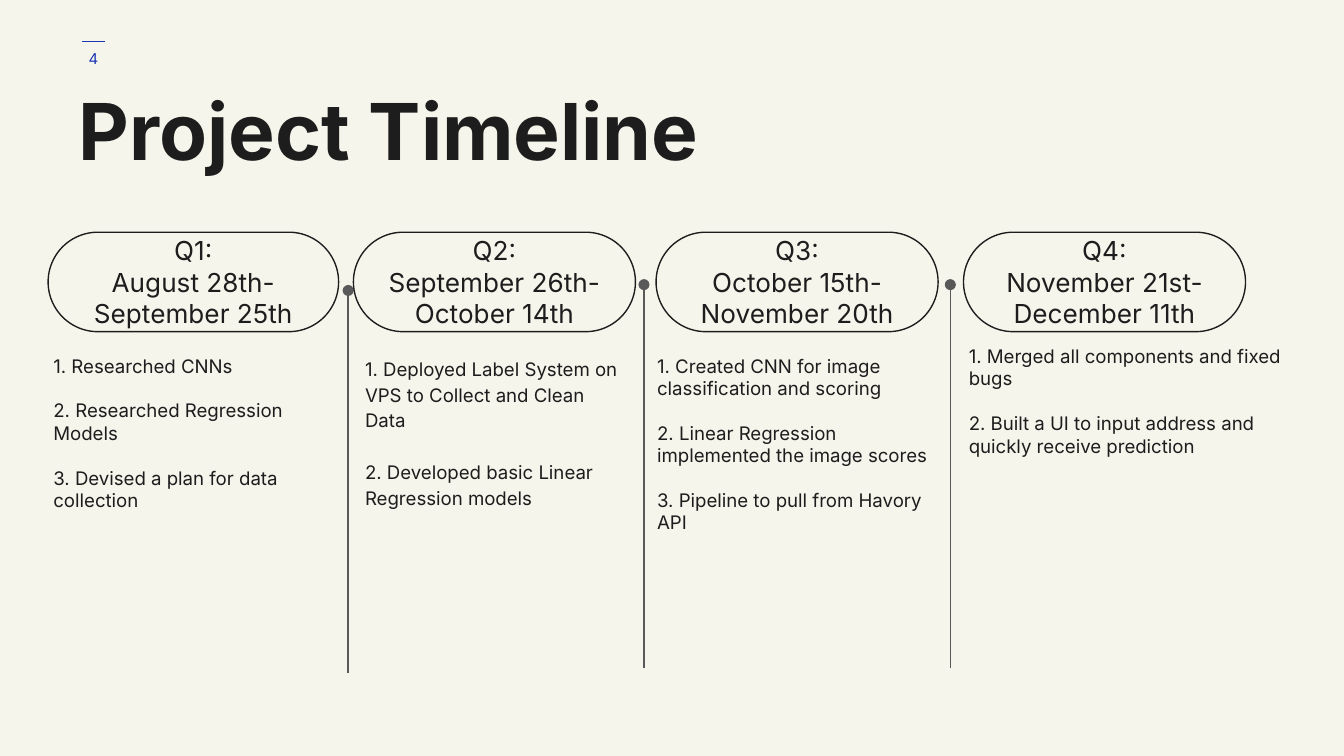
import pptx
import pptx.dml.color
import pptx.enum.shapes
import pptx.enum.text
import pptx.oxml.ns
import pptx.util
from lxml import etree

Cm = pptx.util.Cm
Pt = pptx.util.Pt
RGBColor = pptx.dml.color.RGBColor
ALIGN = pptx.enum.text.PP_ALIGN
ANCHOR = pptx.enum.text.MSO_ANCHOR

CREAM = RGBColor(0xF6, 0xF5, 0xEC)
INK = RGBColor(0x1D, 0x1D, 0x1D)
BLUE = RGBColor(0x1A, 0x36, 0xB4)
GREY = RGBColor(0x59, 0x59, 0x59)

PILL_TOP, PILL_HEIGHT = 4.39, 1.88
LIST_HEIGHT = 4.78
DIVIDER_LENGTH = 7.24

# Pill (left, width), dates, list (left, top, width), line spacing, items
QUARTERS = [
    ((0.91, 5.49), "August 28th- September 25th", (0.76, 6.45, 5.74), 1.0,
     ["1. Researched CNNs",
      "2. Researched Regression Models",
      "3. Devised a plan for data collection"]),
    ((6.68, 5.33), "September 26th- October 14th", (6.65, 6.45, 5.49), 1.15,
     ["1. Deployed Label System on VPS to Collect and Clean Data",
      "2. Developed basic Linear Regression models"]),
    ((12.4, 5.33), "October 15th- November 20th", (12.17, 6.45, 5.74), 1.0,
     ["1. Created CNN for image classification and scoring",
      "2. Linear Regression implemented the image scores",
      "3. Pipeline to pull from Havory API"]),
    ((18.21, 5.33), "November 21st- December 11th", (18.06, 6.27, 6.6), 1.0,
     ["1. Merged all components and fixed bugs",
      "2. Built a UI to input address and quickly receive prediction"]),
]
DIVIDERS = [(6.58, 5.49), (12.17, 5.38), (17.96, 5.38)]


def write(tf, paragraphs, size=10, color=INK, bold=False, align=ALIGN.LEFT,
          anchor=ANCHOR.TOP, spacing=1.0, gap=0):
    """Fill a text frame; gap is the space in points between paragraphs."""
    tf.word_wrap = True
    tf.vertical_anchor = anchor
    tf.margin_left = tf.margin_right = Cm(0.25)
    tf.margin_top = tf.margin_bottom = Cm(0.25)
    for i, text in enumerate(paragraphs):
        p = tf.paragraphs[0] if i == 0 else tf.add_paragraph()
        p.alignment = align
        p.line_spacing = spacing
        p.space_before = Pt(gap if i else 0)
        r = p.add_run()
        r.text = text
        r.font.name = "Inter"
        r.font.size = Pt(size)
        r.font.bold = bold
        r.font.color.rgb = color


class Deck:
    line_width = Pt(0.75)

    def __init__(self, prs):
        self.s = prs.slides.add_slide(prs.slide_layouts[6])
        self.s.background.fill.solid()
        self.s.background.fill.fore_color.rgb = CREAM

    def text(self, left, top, width, height, paragraphs, **style):
        sp = self.s.shapes.add_textbox(Cm(left), Cm(top), Cm(width), Cm(height))
        write(sp.text_frame, paragraphs, **style)

    def pill(self, left, top, width, height, paragraphs):
        sp = self.s.shapes.add_shape(
            pptx.enum.shapes.MSO_SHAPE.ROUNDED_RECTANGLE,
            Cm(left), Cm(top), Cm(width), Cm(height))
        sp.adjustments[0] = 0.5
        sp.shadow.inherit = False
        sp.fill.background()
        sp.line.color.rgb = INK
        sp.line.width = self.line_width
        write(sp.text_frame, paragraphs, size=14, align=ALIGN.CENTER,
              anchor=ANCHOR.MIDDLE)

    def line(self, x1, y1, x2, y2, color, dot=False):
        """Draw a straight line, with a round dot at its start if asked."""
        sp = self.s.shapes.add_connector(
            pptx.enum.shapes.MSO_CONNECTOR.STRAIGHT,
            Cm(x1), Cm(y1), Cm(x2), Cm(y2))
        sp.line.color.rgb = color
        sp.line.width = self.line_width
        qn = pptx.oxml.ns.qn
        if dot:
            etree.SubElement(sp.line._get_or_add_ln(), qn("a:headEnd"), type="oval")
        etree.SubElement(sp._element.spPr, qn("a:effectLst"))


def main():
    prs = pptx.Presentation()
    prs.slide_width, prs.slide_height = Cm(25.4), Cm(14.29)
    deck = Deck(prs)

    deck.line(1.55, 0.78, 1.98, 0.78, BLUE)
    deck.text(1.17, 0.56, 1.19, 1.09, ["4"], size=8, color=BLUE,
              align=ALIGN.CENTER, anchor=ANCHOR.MIDDLE)
    deck.text(1.24, 1.65, 19.08, 2.9, ["Project Timeline"], size=42,
              bold=True, spacing=0.8)

    for x, y in DIVIDERS:
        deck.line(x, y, x, y + DIVIDER_LENGTH, GREY, dot=True)

    for number, (pill, dates, box, spacing, items) in enumerate(QUARTERS, 1):
        pill_left, pill_width = pill
        deck.pill(pill_left, PILL_TOP, pill_width, PILL_HEIGHT,
                  [f"Q{number}:", dates])
        deck.text(*box, LIST_HEIGHT, items, spacing=spacing, gap=12 * spacing)

    prs.save("out.pptx")


if __name__ == "__main__":
    main()
